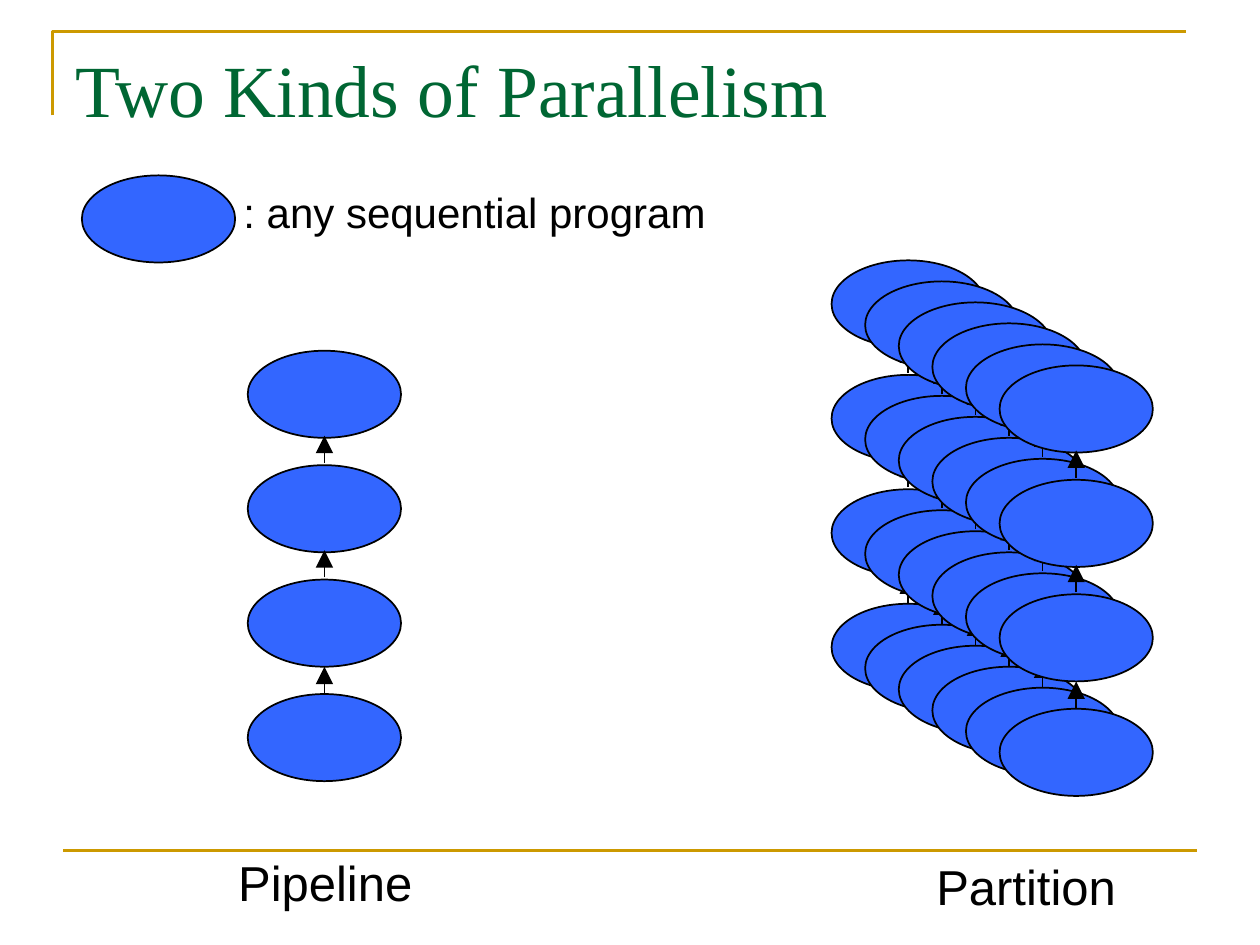
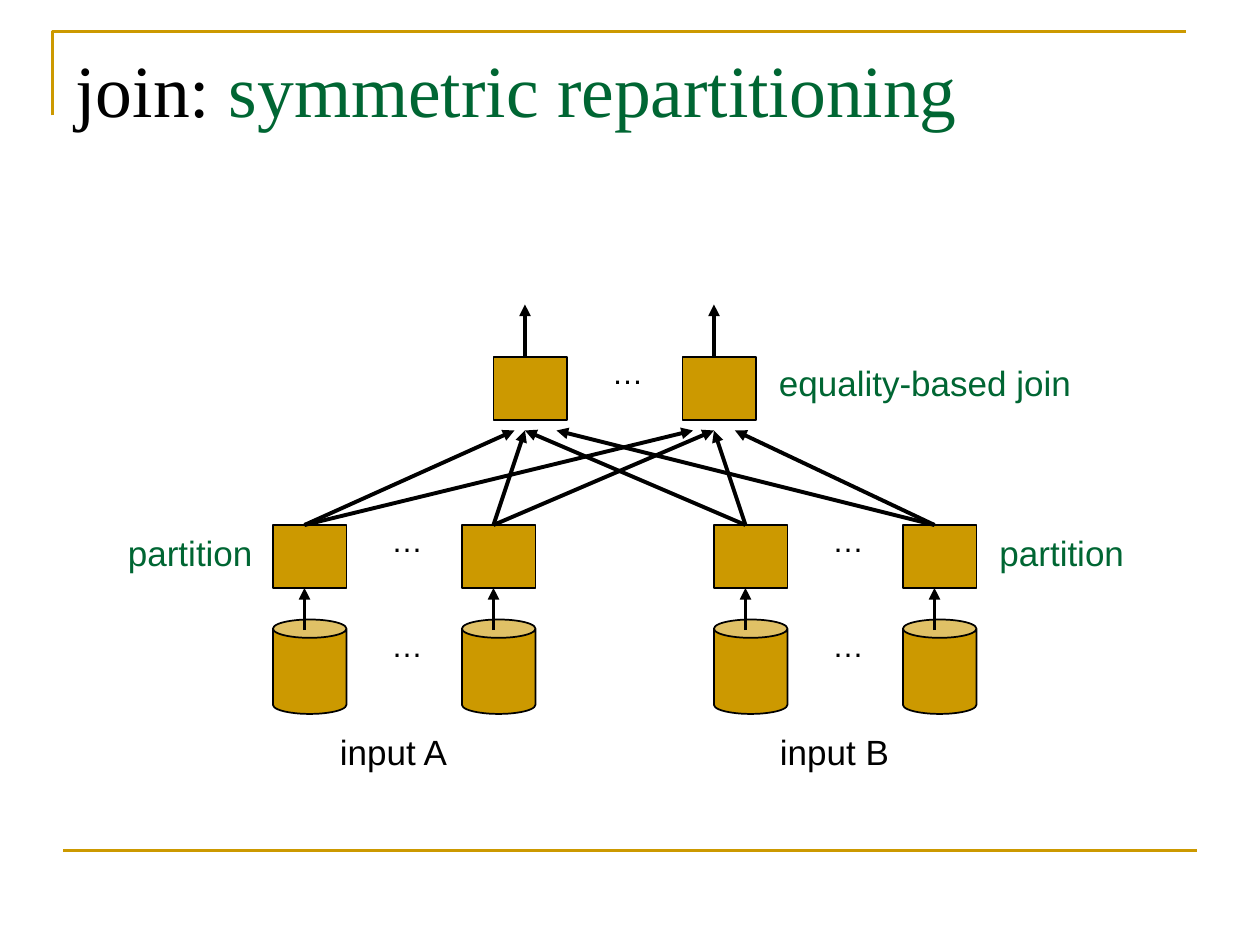
import dataclasses

import lxml.etree
import pptx
import pptx.dml.color
import pptx.enum.shapes
import pptx.enum.text
import pptx.oxml.ns
import pptx.util

EMU_PER_PX = 7620  # 120 px to the inch
PRESET = pptx.enum.shapes.MSO_SHAPE


@dataclasses.dataclass(frozen=True)
class Theme:
    ink: str = "000000"
    green: str = "006633"
    gold: str = "CC9900"
    blue: str = "3366FF"
    title_font: str = "Times New Roman"
    body_font: str = "Arial"
    title_size: int = 42
    caption_size: int = 28
    legend_size: int = 24
    label_size: int = 20
    dots_size: int = 18
    outline: float = 1
    band: float = 1.5
    flow: float = 2.25


def px(length):
    return pptx.util.Emu(round(length * EMU_PER_PX))


def rgb(color):
    return pptx.dml.color.RGBColor.from_string(color)


class Deck:
    def __init__(self, theme):
        self.theme = theme
        self.prs = pptx.Presentation()
        self.prs.slide_width, self.prs.slide_height = px(1200), px(900)
        self.slide = None
        self.canvas = None

    def new_slide(self, *title_parts):
        """Start a slide with its bands; each title part is (text, colour)."""
        self.slide = self.prs.slides.add_slide(self.prs.slide_layouts[5])
        self.canvas = self.slide.shapes
        self.bands()
        self.title(title_parts)

    def bands(self):
        corner = self.canvas.build_freeform(50, 110, scale=EMU_PER_PX)
        corner.add_line_segments([(50, 30), (1130, 30)], close=False)
        bracket = corner.convert_to_shape()
        bracket.shadow.inherit = False
        bracket.fill.background()
        self.stroke(bracket.line, self.theme.gold, self.theme.band)
        self.line((60, 810), (1140, 810), self.theme.gold, self.theme.band)

    def title(self, parts):
        heading = self.slide.shapes.title
        heading.left, heading.top = px(60), px(36)
        heading.width, heading.height = px(1080), px(150)
        frame = heading.text_frame
        frame.auto_size = pptx.enum.text.MSO_AUTO_SIZE.NONE
        frame.vertical_anchor = pptx.enum.text.MSO_ANCHOR.TOP
        frame.margin_top = px(6)
        frame.paragraphs[0].alignment = pptx.enum.text.PP_ALIGN.LEFT
        for text, color in parts:
            self.run(frame, text, self.theme.title_font, self.theme.title_size, color)

    def run(self, frame, text, font, size, color):
        run = frame.paragraphs[0].add_run()
        run.text = text
        run.font.name = font
        run.font.size = pptx.util.Pt(size)
        run.font.color.rgb = rgb(color)

    def stroke(self, line, color, width):
        line.color.rgb = rgb(color)
        line.width = pptx.util.Pt(width)

    def label(self, text, left, top, width, height, size, color=None):
        box = self.canvas.add_textbox(px(left), px(top), px(width), px(height))
        box.text_frame.word_wrap = True
        self.run(box.text_frame, text, self.theme.body_font, size, color or self.theme.ink)

    def shape(self, preset, left, top, width, height, fill):
        node = self.canvas.add_shape(preset, px(left), px(top), px(width), px(height))
        node.shadow.inherit = False
        node.fill.solid()
        node.fill.fore_color.rgb = rgb(fill)
        self.stroke(node.line, self.theme.ink, self.theme.outline)

    def line(self, start, end, color, width):
        link = self.canvas.add_connector(
            pptx.enum.shapes.MSO_CONNECTOR.STRAIGHT,
            px(start[0]), px(start[1]), px(end[0]), px(end[1]))
        self.stroke(link.line, color, width)
        lxml.etree.SubElement(link._element.spPr, pptx.oxml.ns.qn("a:effectLst"))
        return link

    def arrow(self, start, end, width, head_size="med"):
        link = self.line(start, end, self.theme.ink, width)
        head = lxml.etree.SubElement(link.line._get_or_add_ln(), pptx.oxml.ns.qn("a:tailEnd"))
        head.set("type", "triangle")
        head.set("w", head_size)
        head.set("len", head_size)

    def program(self, left, top):
        self.shape(PRESET.OVAL, left, top, 146, 83, self.theme.blue)

    def pipeline(self, left, top):
        """Group four programs, each feeding the one above it."""
        self.canvas = self.slide.shapes.add_group_shape().shapes
        tops = [top + 109 * stage for stage in range(4)]
        for stage_top in tops:
            self.program(left, stage_top)
        for stage_top in tops[1:]:
            lift = 0 if stage_top == tops[-1] else 2
            start = stage_top - lift
            self.arrow((left + 73, start), (left + 73, start - 26), self.theme.outline, "lg")
        self.canvas = self.slide.shapes

    def dots(self, left, top):
        self.label("…", left, top, 60, 48, self.theme.dots_size)


def parallelism_slide(deck):
    theme = deck.theme
    deck.new_slide(("Two Kinds of Parallelism", theme.green))
    deck.pipeline(236, 334)
    for copy_index in range(6):
        deck.pipeline(792 + 32 * copy_index, 248 + 20 * copy_index)
    deck.label("Pipeline", 215, 806, 200, 68, theme.caption_size)
    deck.label("Partition", 880, 810, 204, 68, theme.caption_size)
    deck.program(78, 167)
    deck.label(": any sequential program", 220, 172, 474, 60, theme.legend_size)


def join_slide(deck):
    theme = deck.theme
    join_top, partition_top, input_top = 340, 500, 590
    deck.new_slide(("join:", theme.ink), (" symmetric repartitioning", theme.green))

    for left in (470, 650):
        deck.shape(PRESET.RECTANGLE, left, join_top, 70, 60, theme.gold)
        deck.arrow((left + 30, join_top), (left + 30, 290), theme.flow)
    deck.dots(571, join_top - 10)
    deck.label("equality-based join", 730, 338, 360, 53, theme.label_size, theme.green)

    for name, first, name_left in (("input A", 260, 312), ("input B", 680, 731)):
        for left in (first, first + 180):
            deck.shape(PRESET.CAN, left, input_top, 70, 90, theme.gold)
            deck.shape(PRESET.RECTANGLE, left, partition_top, 70, 60, theme.gold)
            deck.arrow((left + 30, 600), (left + 30, 560), theme.flow)
        deck.dots(first + 101, input_top)
        deck.dots(first + 101, partition_top - 10)
        deck.label(name, name_left, 690, 137, 53, theme.label_size)

    join_ends = {290: (490, 660), 470: (500, 680), 710: (500, 680), 890: (530, 700)}
    for source, ends in join_ends.items():
        for end in ends:
            deck.arrow((source, partition_top), (end, 410), theme.flow)
    for left in (110, 940):
        deck.label("partition", left, 500, 150, 53, theme.label_size, theme.green)


def main():
    deck = Deck(Theme())
    parallelism_slide(deck)
    join_slide(deck)
    deck.prs.save("out.pptx")


if __name__ == "__main__":
    main()
